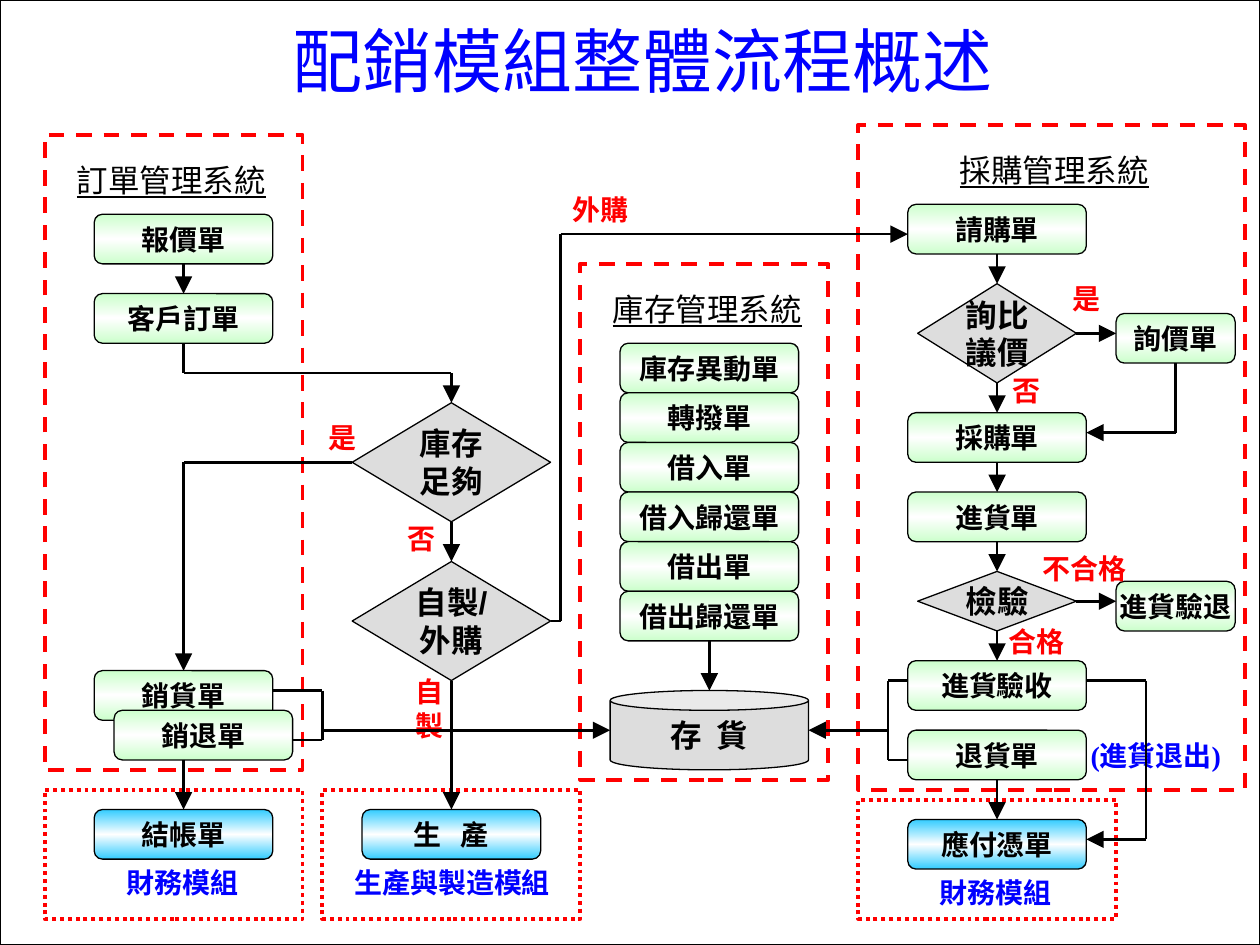
from copy import deepcopy
from itertools import pairwise

from lxml.etree import SubElement
from pptx import Presentation
from pptx.dml.color import RGBColor
from pptx.enum.dml import MSO_LINE
from pptx.enum.shapes import MSO_CONNECTOR, MSO_SHAPE
from pptx.enum.text import MSO_ANCHOR, PP_ALIGN
from pptx.oxml.ns import qn
from pptx.util import Cm, Inches, Pt

BLACK = RGBColor(0x00, 0x00, 0x00)
WHITE = RGBColor(0xFF, 0xFF, 0xFF)
RED = RGBColor(0xFF, 0x00, 0x00)
BLUE = RGBColor(0x00, 0x00, 0xFF)
GRAY = RGBColor(0xDD, 0xDD, 0xDD)
GREEN = RGBColor(0xCC, 0xFF, 0xCC)
SKY = RGBColor(0x33, 0xCC, 0xFF)

SANS, SERIF, CJK = "Arial", "Times New Roman", "Noto Sans CJK SC"
CELL = Cm(0.2)
LEFT, TOP = Cm(0.1), Cm(0.12)
BOX_WIDTH, BOX_HEIGHT = 18, 5
SMALL_WIDTH = 12

# Column, row, width, height
SYSTEMS = [(4, 13, 26, 64), (86, 12, 39, 67), (58, 26, 25, 52)]
MODULES = [(4, 79, 26, 13), (32, 79, 26, 13), (86, 80, 26, 12)]

# Text, column, row, width
STOCK_FORMS = ["庫存異動單", "轉撥單", "借入單", "借入歸還單", "借出單", "借出歸還單"]
FORMS = [
    ("報價單", 9, 21, BOX_WIDTH), ("客戶訂單", 9, 29, BOX_WIDTH),
    ("銷貨單", 9, 67, BOX_WIDTH), ("銷退單", 11, 71, BOX_WIDTH),
    ("請購單", 91, 20, BOX_WIDTH), ("採購單", 91, 41, BOX_WIDTH),
    ("進貨單", 91, 49, BOX_WIDTH), ("進貨驗收", 91, 66, BOX_WIDTH),
    ("退貨單", 91, 73, BOX_WIDTH),
    ("詢價單", 112, 31, SMALL_WIDTH), ("進貨驗退", 112, 58, SMALL_WIDTH),
] + [(text, 62, 34 + BOX_HEIGHT * index, BOX_WIDTH)
     for index, text in enumerate(STOCK_FORMS)]
OUTPUTS = [("結帳單", 9, 81), ("生   產", 36, 81), ("應付憑單", 91, 82)]

DECISIONS = [
    ("庫存\n足夠", (35, 40, 20, 12)), ("自製/\n外購", (35, 56, 20, 12)),
    ("詢比\n議價", (92, 28, 16, 10)), ("檢驗", (92, 57, 16, 6)),
]
SYSTEM_NAMES = [("訂單管理系統", 6, 15), ("採購管理系統", 95, 14), ("庫存管理系統", 60, 28)]
MODULE_NAMES = [("財務模組", 11, 86, 15), ("生產與製造模組", 34, 86, 23),
                ("財務模組", 93, 87, 15)]
BRANCHES = [
    ("是", (30, 41, 8, 5)), ("否", (38, 51.2, 8, 5)), ("自\n製", (40.8, 66.8, 4, 8)),
    ("外購", (56, 18, 8, 5)), ("是", (105, 27, 8, 5)), ("否", (99, 36.2, 8, 5)),
    ("不合格", (103.8, 54.2, 10, 5)), ("合格", (100, 61.5, 8, 5)),
]

ARROWS = [
    [(18, 26), (18, 29)],
    [(18, 34), (18, 37), (45, 37), (45, 40)],
    [(35, 46), (18, 46), (18, 67)],
    [(18, 76), (18, 81)],
    [(45, 52), (45, 56)],
    [(45, 68), (45, 81)],
    [(55, 62), (56, 62), (56, 23), (91, 23)],
    [(71, 64), (71, 69)],
    [(32, 73), (61, 73)],
    [(89, 73), (81, 73)],
    [(108, 33), (112, 33)],
    [(108, 60), (112, 60)],
    [(118, 36), (118, 43), (109, 43)],
    [(109, 68), (115, 68), (115, 84), (109, 84)],
] + [[(100, start), (100, end)] for start, end in
     [(25, 28), (38, 41), (46, 49), (54, 57), (63, 66), (78, 82)]]
BRACKETS = [
    [(27, 69), (32, 69), (32, 74), (29, 74)],
    [(91, 68), (89, 68), (89, 76), (91, 76)],
]


def point(column, row):
    return LEFT + round(column * CELL), TOP + round(row * CELL)


def bounds(column, row, width, height):
    return *point(column, row), round(width * CELL), round(height * CELL)


def write(shape, text, size, color, font=SANS, bold=True, underline=None,
          align=PP_ALIGN.CENTER, wrap=False):
    """Set the text; unwrapped text also loses its side margins."""
    frame = shape.text_frame
    frame.text = text
    frame.word_wrap = wrap
    frame.vertical_anchor = MSO_ANCHOR.MIDDLE
    if not wrap:
        frame.margin_left = frame.margin_right = 0
    for paragraph in frame.paragraphs:
        paragraph.alignment = align
        for run in paragraph.runs:
            run.font.name = font
            run.font.size = Pt(size)
            run.font.bold = bold
            run.font.underline = underline
            run.font.color.rgb = color


def add_outlined(slide, kind, place, fill=None):
    shape = slide.shapes.add_shape(kind, *place)
    shape.shadow.inherit = False
    if fill is None:
        shape.fill.background()
    else:
        shape.fill.solid()
        shape.fill.fore_color.rgb = fill
    shape.line.color.rgb = BLACK
    shape.line.width = Pt(0.75)
    return shape


def add_area(slide, cells, dash):
    area = add_outlined(slide, MSO_SHAPE.RECTANGLE, bounds(*cells))
    area.line.color.rgb = RED
    area.line.width = Pt(2.25)
    area.line.dash_style = dash


def add_form(slide, text, column, row, width=BOX_WIDTH, edge=GREEN):
    """Rounded box shaded from edge colour to white and back."""
    form = add_outlined(slide, MSO_SHAPE.ROUNDED_RECTANGLE,
                        bounds(column, row, width, BOX_HEIGHT))
    form.fill.gradient()
    form.fill.gradient_angle = 90
    stops = next(form.element.iter(qn("a:gsLst")))
    stops.append(deepcopy(stops[0]))
    for stop, position, color in zip(form.fill.gradient_stops, (0, 0.5, 1),
                                     (edge, WHITE, edge)):
        stop.position = position
        stop.color.rgb = color
    write(form, text, 16, BLACK)


def add_label(slide, text, place, size, color, **style):
    write(slide.shapes.add_textbox(*place), text, size, color, **style)


def add_path(slide, points, arrow=True):
    """Straight segments through the points, with a head on the last one."""
    for start, end in pairwise(points):
        segment = slide.shapes.add_connector(MSO_CONNECTOR.STRAIGHT,
                                             *point(*start), *point(*end))
        segment.line.color.rgb = BLACK
        segment.line.width = Pt(1.5)
        properties = segment.element.spPr
        if arrow and end == points[-1]:
            SubElement(properties.find(qn("a:ln")), qn("a:tailEnd"),
                       type="triangle", w="lg", len="lg")
        SubElement(properties, qn("a:effectLst"))


def main():
    presentation = Presentation()
    presentation.slide_width, presentation.slide_height = Inches(10), Inches(7.5)
    width, height = presentation.slide_width, presentation.slide_height
    slide = presentation.slides.add_slide(presentation.slide_layouts[6])

    add_outlined(slide, MSO_SHAPE.RECTANGLE, (0, 0, width, height), WHITE)
    add_label(slide, "配銷模組整體流程概述",
              (round(width * 0.06), 0, round(width * 0.9), height // 8),
              40, BLUE, font=SERIF, bold=False, wrap=True)

    for cells in SYSTEMS:
        add_area(slide, cells, MSO_LINE.DASH)
    for cells in MODULES:
        add_area(slide, cells, MSO_LINE.ROUND_DOT)
    for form in FORMS:
        add_form(slide, *form)
    for output in OUTPUTS:
        add_form(slide, *output, edge=SKY)
    for text, cells in DECISIONS:
        decision = add_outlined(slide, MSO_SHAPE.FLOWCHART_DECISION,
                                bounds(*cells), GRAY)
        write(decision, text, 18, BLACK)
    stock = add_outlined(slide, MSO_SHAPE.CAN, bounds(61, 69, 20, 8), GRAY)
    write(stock, "存  貨", 18, BLACK, font=CJK)

    for text, cells in BRANCHES:
        add_label(slide, text, bounds(*cells), 16, RED)
    add_label(slide, "(進貨退出)", bounds(108, 73, 16, 5), 16, BLUE, font=SERIF)
    for text, column, row in SYSTEM_NAMES:
        add_label(slide, text, bounds(column, row, 26, 5), 18, BLACK, bold=False,
                  underline=True, align=PP_ALIGN.LEFT, wrap=True)
    for text, column, row, columns in MODULE_NAMES:
        add_label(slide, text, bounds(column, row, columns, 4.7), 16, BLUE,
                  font=SERIF, align=PP_ALIGN.LEFT, wrap=True)

    for path in ARROWS:
        add_path(slide, path)
    for path in BRACKETS:
        add_path(slide, path, arrow=False)

    presentation.save("out.pptx")


if __name__ == "__main__":
    main()
